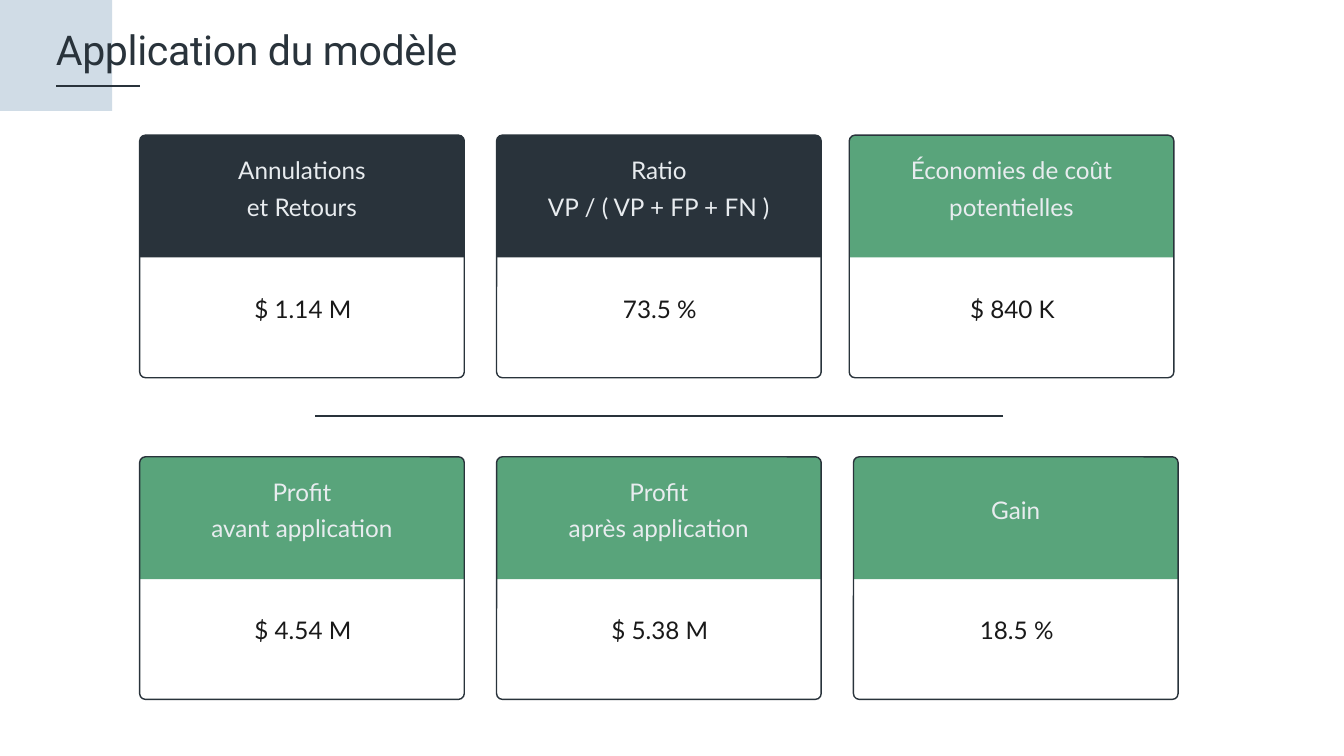
import pptx
import pptx.util
import pptx.dml.color
import pptx.enum.shapes
import pptx.enum.text
import pptx.oxml
import pptx.oxml.ns

Cm = pptx.util.Cm
Pt = pptx.util.Pt
Color = pptx.dml.color.RGBColor
Kind = pptx.enum.shapes.MSO_SHAPE
Align = pptx.enum.text.PP_ALIGN
Anchor = pptx.enum.text.MSO_ANCHOR
qn = pptx.oxml.ns.qn

DARK = Color(0x29, 0x33, 0x3B)
GREEN = Color(0x59, 0xA4, 0x7B)
PALE = Color(0xD0, 0xDC, 0xE6)
LIGHT = Color(0xE8, 0xEC, 0xEF)
BLACK = Color(0x19, 0x19, 0x19)

# Card size, corner radius and grid, in cm
WIDE, HIGH, HEAD = 12.27, 9.17, 4.62
ROUND = 0.22
LEFT, STEP = 5.28, 13.49
TOP, LOW = 5.11, 17.27


def add_shape(slide, kind, x, y, w, h, fill=None, line=None):
    shape = slide.shapes.add_shape(kind, Cm(x), Cm(y), Cm(w), Cm(h))
    shape.shadow.inherit = False
    if fill is None:
        shape.fill.background()
    else:
        shape.fill.solid()
        shape.fill.fore_color.rgb = fill
    if line is None:
        shape.line.fill.background()
    else:
        shape.line.color.rgb = line
        shape.line.width = Pt(1.5)
    return shape


def add_line(slide, x1, x2, y, width):
    line = slide.shapes.add_connector(
        pptx.enum.shapes.MSO_CONNECTOR.STRAIGHT, Cm(x1), Cm(y), Cm(x2), Cm(y))
    line.line.color.rgb = DARK
    line.line.width = Pt(width)
    props = line.element.find(qn("p:spPr"))
    props.append(pptx.oxml.parse_xml(
        f'<a:effectLst {pptx.oxml.ns.nsdecls("a")}/>'))


def set_frame(frame, inset, anchor):
    frame.word_wrap = True
    frame.vertical_anchor = anchor
    frame.margin_left = frame.margin_right = Cm(inset)
    frame.margin_top = frame.margin_bottom = Cm(inset)


def add_run(para, text, font, size, color, space, align):
    para.alignment = align
    para.line_spacing = Pt(space)
    run = para.add_run()
    run.text = text
    run.font.name = font
    run.font.size = Pt(size)
    run.font.color.rgb = color


def add_label(slide, x, y, w, h, lines, color):
    box = slide.shapes.add_textbox(Cm(x), Cm(y), Cm(w), Cm(h))
    frame = box.text_frame
    set_frame(frame, 0.42, Anchor.MIDDLE)
    for i, text in enumerate(lines):
        para = frame.add_paragraph() if i else frame.paragraphs[0]
        add_run(para, text, "Lato", 26, color, 39, Align.CENTER)


def add_card(slide, x, y, w, h, lines, value, fill):
    # Coloured header with its label
    head = add_shape(slide, Kind.ROUND_2_SAME_RECTANGLE, x, y, w, HEAD, fill)
    head.adjustments[0] = ROUND / HEAD
    add_label(slide, x, y - 0.82, w, 5.38, lines, LIGHT)
    # Value in the lower half
    add_label(slide, x + 0.48, y + 3.99, w - 0.89, 4.85, [value], BLACK)
    # Outline around the whole card
    edge = add_shape(slide, Kind.ROUNDED_RECTANGLE, x, y, w, h, line=DARK)
    edge.adjustments[0] = ROUND / h


def add_title(slide, x, y, w, h, text):
    # Corner square and underline
    add_shape(slide, Kind.RECTANGLE, 0, -0.05, 4.24, 4.24, PALE)
    add_line(slide, x + 3.17, x, y + 2.18, 2.25)
    # Title, brought in front of the square
    title = slide.shapes.title
    title.left, title.top = Cm(x), Cm(y)
    title.width, title.height = Cm(w), Cm(h)
    frame = title.text_frame
    set_frame(frame, 0, Anchor.TOP)
    frame.auto_size = pptx.enum.text.MSO_AUTO_SIZE.SHAPE_TO_FIT_TEXT
    add_run(frame.paragraphs[0], text, "Roboto", 44, DARK, 48.4,
            Align.JUSTIFY)
    for props in title.element.iter(qn("a:rPr")):
        props.set("spc", "-40")
    title.element.getparent().append(title.element)


def main():
    deck = pptx.Presentation()
    deck.slide_width, deck.slide_height = Cm(50.8), Cm(28.58)
    slide = deck.slides.add_slide(deck.slide_layouts[5])

    add_title(slide, 2.11, 1.07, 24.84, 1.78, "Application du modèle")

    # Two rows of cards; the last one on top sits slightly further left
    mid, right = LEFT + STEP, LEFT + 2 * STEP
    cards = [
        (LEFT, TOP, ["Annulations", "et Retours"], "$ 1.14 M", DARK),
        (mid, TOP, ["Ratio", "VP / ( VP + FP + FN )"], "73.5 %", DARK),
        (right - 0.16, TOP, ["Économies de coût potentielles"],
         "$ 840 K", GREEN),
        (LEFT, LOW, ["Profit", "avant application"], "$ 4.54 M", GREEN),
        (mid, LOW, ["Profit", "après application"], "$ 5.38 M", GREEN),
        (right, LOW, ["Gain"], "18.5 %", GREEN),
    ]
    for x, y, lines, value, fill in cards:
        add_card(slide, x, y, WIDE, HIGH, lines, value, fill)

    # Divider between the rows
    add_line(slide, 37.92, 11.89, 15.72, 1.5)

    deck.save("out.pptx")


if __name__ == "__main__":
    main()
